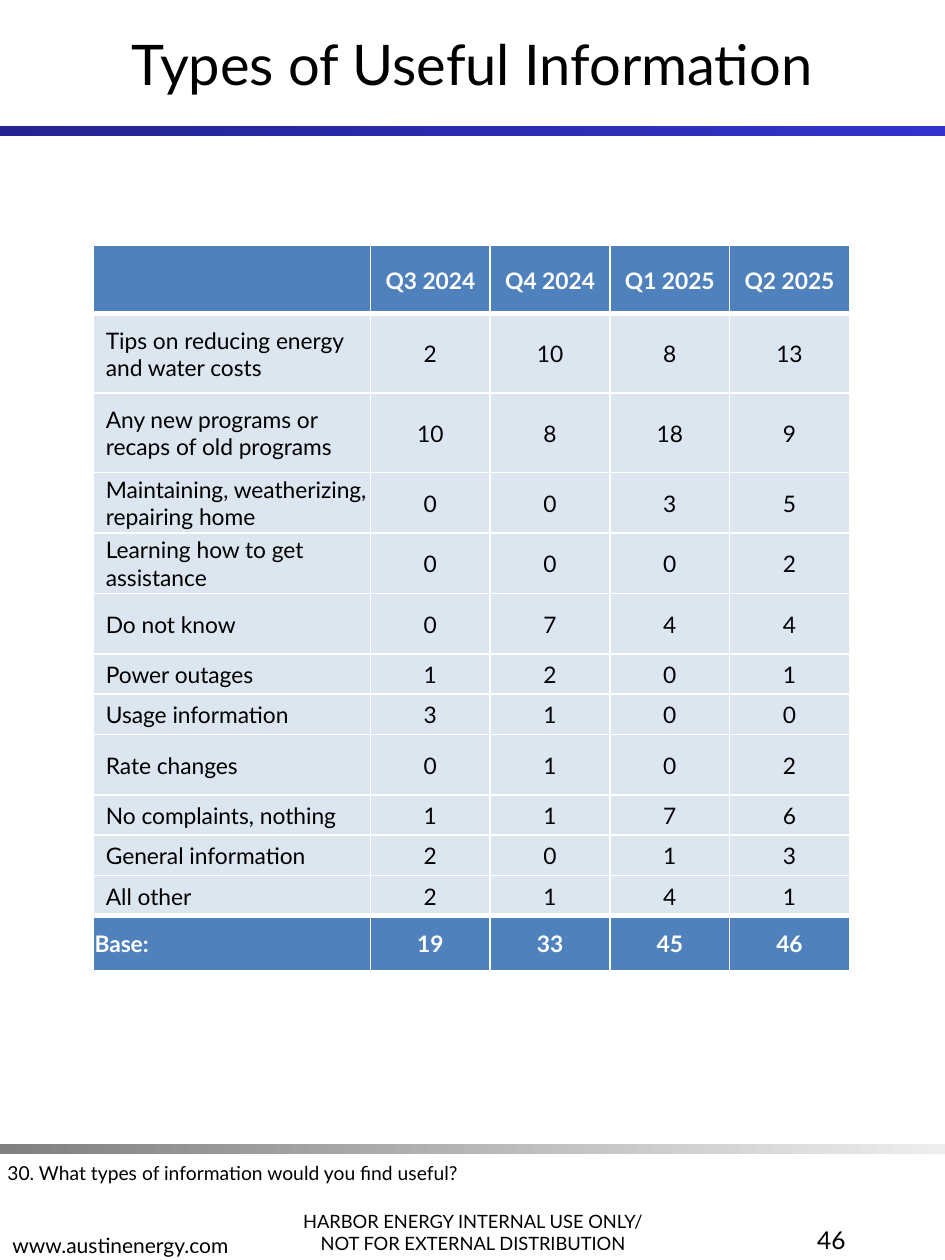
from lxml import etree
from pptx import Presentation
from pptx.dml.color import RGBColor
from pptx.enum.shapes import MSO_SHAPE
from pptx.enum.text import MSO_ANCHOR, PP_ALIGN
from pptx.oxml.ns import qn
from pptx.util import Inches, Pt

RECTANGLE = MSO_SHAPE.RECTANGLE
TOP, MIDDLE, BOTTOM = MSO_ANCHOR.TOP, MSO_ANCHOR.MIDDLE, MSO_ANCHOR.BOTTOM
LEFT, CENTER, RIGHT = PP_ALIGN.LEFT, PP_ALIGN.CENTER, PP_ALIGN.RIGHT
FONT = "Lato"
BLACK, WHITE, NUMBER = "000000", "FFFFFF", "010205"
BAND, BODY = "4F81BD", "DCE6F1"
rgb = RGBColor.from_string


def write(frame, lines, size, color, align, bold=False):
    for i, line in enumerate(lines):
        paragraph = frame.paragraphs[0] if i == 0 else frame.add_paragraph()
        paragraph.alignment = align
        run = paragraph.add_run()
        run.text = line
        run.font.name = FONT
        run.font.size = Pt(size)
        run.font.bold = bold
        run.font.color.rgb = rgb(color)


def set_borders(cell, widths):
    properties = cell._tc.get_or_add_tcPr()
    for i, (side, width) in enumerate(widths.items()):
        line = etree.Element(qn(f"a:ln{side}"), w=str(Pt(width)))
        solid = etree.SubElement(line, qn("a:solidFill"))
        etree.SubElement(solid, qn("a:srgbClr"), val=WHITE)
        properties.insert(i, line)


prs = Presentation()
prs.slide_width, prs.slide_height = Inches(7.5), Inches(10)
slide = prs.slides.add_slide(prs.slide_layouts[6])

for top, colors in [(1, ("242492", "3333CC")), (9.08, ("808080", "EDEDED"))]:
    rule = slide.shapes.add_shape(RECTANGLE, 0, Inches(top), Inches(7.5), Inches(0.08))
    rule.shadow.inherit = False
    rule.line.fill.background()
    rule.fill.gradient()
    rule.fill.gradient_angle = 0
    for stop, color in zip(rule.fill.gradient_stops, colors):
        stop.color.rgb = rgb(color)

texts = [
    ((2.16, 9.33, 3.19, 0.67), BOTTOM, CENTER, 10.5,
     ["HARBOR ENERGY INTERNAL USE ONLY/", "NOT FOR EXTERNAL DISTRIBUTION"]),
    ((0, 9.36, 3.19, 0.67), BOTTOM, LEFT, 12, ["www.austinenergy.com"]),
    ((0, 0, 7.5, 1), MIDDLE, CENTER, 32, ["Types of Useful Information"]),
    ((5.25, 9.67, 1.56, 0.67), TOP, RIGHT, 14, ["46"]),
    ((-0.04, 9.17, 6.85, 0.29), TOP, LEFT, 11,
     ["30. What types of information would you find useful?"]),
]
for place, anchor, align, size, lines in texts:
    frame = slide.shapes.add_textbox(*map(Inches, place)).text_frame
    frame.word_wrap = True
    frame.vertical_anchor = anchor
    write(frame, lines, size, BLACK, align)

answers = [
    ("", "Q3 2024", "Q4 2024", "Q1 2025", "Q2 2025"),
    ("Tips on reducing energy and water costs", 2, 10, 8, 13),
    ("Any new programs or recaps of old programs", 10, 8, 18, 9),
    ("Maintaining, weatherizing, repairing home", 0, 0, 3, 5),
    ("Learning how to get assistance", 0, 0, 0, 2),
    ("Do not know", 0, 7, 4, 4),
    ("Power outages", 1, 2, 0, 1),
    ("Usage information", 3, 1, 0, 0),
    ("Rate changes", 0, 1, 0, 2),
    ("No complaints, nothing", 1, 1, 7, 6),
    ("General information", 2, 0, 1, 3),
    ("All other", 2, 1, 4, 1),
    ("Base:", 19, 33, 45, 46),
]
row_heights = [0.54, 0.63, 0.63, 0.48, 0.48, 0.48, 0.32, 0.32, 0.48, 0.32, 0.32, 0.32, 0.44]
column_widths = [2.2] + [0.95] * 4
last = len(answers) - 1

table = slide.shapes.add_table(
    len(answers), len(column_widths),
    Inches(0.74), Inches(1.95), Inches(6.02), Inches(5.76)).table
for column, width in zip(table.columns, column_widths):
    column.width = Inches(width)
for row, height in zip(table.rows, row_heights):
    row.height = Inches(height)

for r, answer in enumerate(answers):
    is_band = r in (0, last)
    borders = {"L": 1, "R": 1, "T": 3 if r in (1, last) else 1, "B": 3 if r in (0, last - 1) else 1}
    for c, value in enumerate(answer):
        cell = table.cell(r, c)
        cell.fill.solid()
        cell.fill.fore_color.rgb = rgb(BAND if is_band else BODY)
        set_borders(cell, borders)
        cell.vertical_anchor = MIDDLE
        cell.margin_left = Inches(0.1 if c == 0 and not is_band else 0.01)
        cell.margin_right = cell.margin_top = Inches(0.01)
        cell.margin_bottom = 0
        if value != "":
            color = WHITE if is_band else NUMBER if c else BLACK
            write(cell.text_frame, [str(value)], 13, color, CENTER if c else LEFT, is_band)

prs.save("out.pptx")
